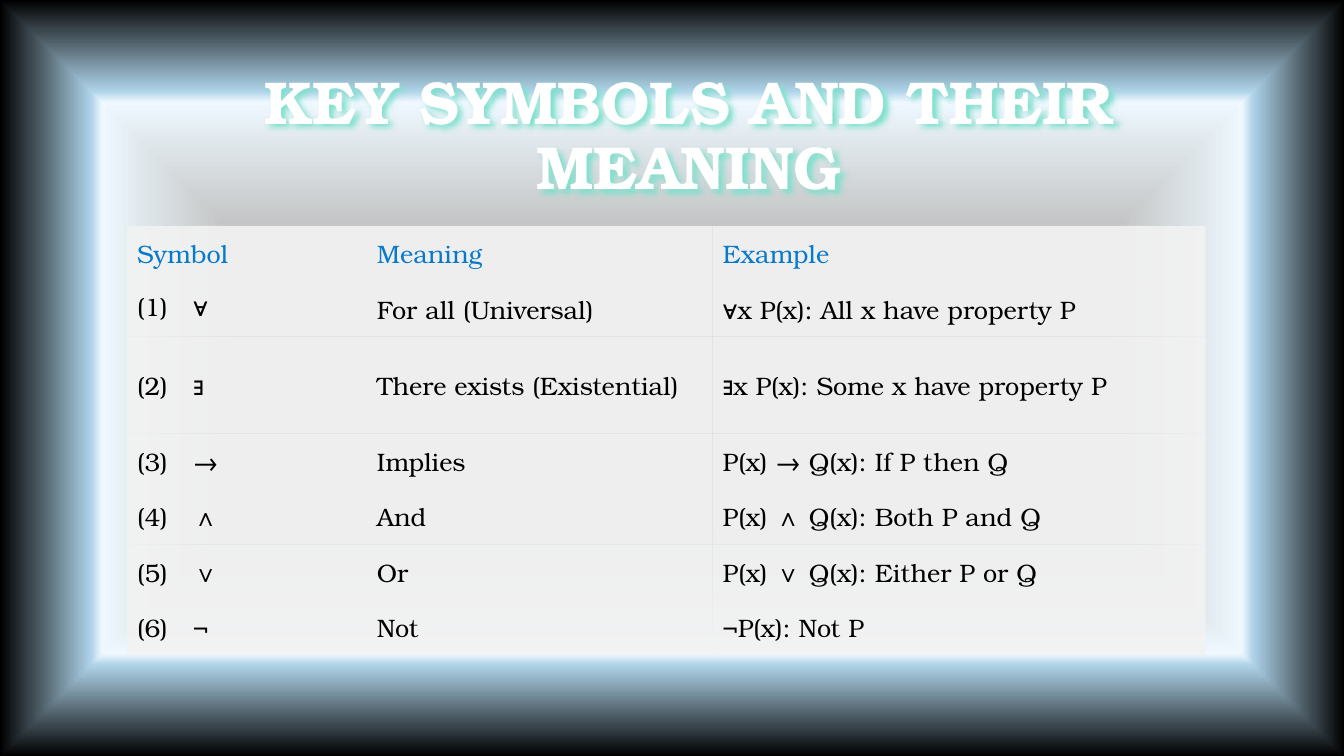
from dataclasses import dataclass

from lxml import etree
from pptx import Presentation
from pptx.dml.color import RGBColor
from pptx.enum.text import MSO_ANCHOR as Anchor, MSO_AUTO_SIZE as AutoSize, PP_ALIGN as Align
from pptx.oxml import parse_xml
from pptx.oxml.ns import nsdecls, qn
from pptx.util import Pt


@dataclass(frozen=True)
class Theme:
    font: str = "TeX Gyre Bonum"
    title_size: float = 43.2
    body_size: float = 18
    title: str = "FFFFFF"
    halo: str = "7FE0CC"
    header: str = "077ACC"
    body: str = "000000"
    cell: str = "F2F2F2"
    cell_alpha: int = 92
    backdrop: tuple = ((37, "BFBFBF"), (73, "EEF8FE"), (76, "AED2E8"),
                       (92, "3A464D"), (100, "000000"))


THEME = Theme()
NO_GRID = "{2D5ABB26-0587-4C30-8999-92F81FD0307C}"
COLUMNS = (171.36, 246.96, 352.08)
ROW, TALL_ROW = 39.6, 69.12
SYMBOL_TAB = 40
HEADER = ("Symbol", "Meaning", "Example")
SYMBOLS = (
    ("∀", "For all (Universal)", "∀x P(x): All x have property P"),
    ("∃", "There exists (Existential)", "∃x P(x): Some x have property P"),
    ("→", "Implies", "P(x) → Q(x): If P then Q"),
    ("∧", "And", "P(x) ∧ Q(x): Both P and Q"),
    ("∨", "Or", "P(x) ∨ Q(x): Either P or Q"),
    ("¬", "Not", "¬P(x): Not P"),
)


def add_run(p, text, size, color, bold=False):
    r = p.add_run()
    r.text = text
    r.font.name = THEME.font
    r.font.size = Pt(size)
    r.font.bold = bold
    r.font.color.rgb = RGBColor.from_string(color)
    return r


def paint_backdrop(slide):
    stops = "".join(
        f'<a:gs pos="{pos * 1000}"><a:srgbClr val="{color}"/></a:gs>'
        for pos, color in THEME.backdrop)
    slide.background.fill.solid()
    bg_pr = slide.element.cSld.find(qn("p:bg")).find(qn("p:bgPr"))
    gradient = parse_xml(
        f'<a:gradFill {nsdecls("a")} rotWithShape="1"><a:gsLst>{stops}</a:gsLst>'
        '<a:path path="shape"><a:fillToRect l="50000" t="50000" r="50000" b="50000"/>'
        '</a:path></a:gradFill>')
    bg_pr.replace(bg_pr.find(qn("a:solidFill")), gradient)


def place_title(slide, text, left, top, width, height):
    sp = slide.shapes.title
    sp.left, sp.top, sp.width, sp.height = Pt(left), Pt(top), Pt(width), Pt(height)
    tf = sp.text_frame
    tf.word_wrap = True
    tf.auto_size = AutoSize.NONE
    tf.vertical_anchor = Anchor.BOTTOM
    p = tf.paragraphs[0]
    p.alignment = Align.CENTER
    p.line_spacing = 0.9
    add_run(p, text, THEME.title_size, THEME.title, bold=True)
    sp.element.spPr.append(parse_xml(
        f'<a:effectLst {nsdecls("a")}>'
        f'<a:outerShdw blurRad="{Pt(4)}" dist="{Pt(3)}" dir="2700000" algn="tl" rotWithShape="0">'
        f'<a:srgbClr val="{THEME.halo}"/></a:outerShdw></a:effectLst>'))


def fill_cell(cell, parts, color):
    cell.vertical_anchor = Anchor.MIDDLE
    cell.fill.solid()
    cell.fill.fore_color.rgb = RGBColor.from_string(THEME.cell)
    rgb = cell.fill._xPr.find(qn("a:solidFill"))[0]
    etree.SubElement(rgb, qn("a:alpha"), val=str(THEME.cell_alpha * 1000))
    p = cell.text_frame.paragraphs[0]
    if len(parts) > 1:
        p._p.get_or_add_pPr().append(parse_xml(
            f'<a:tabLst {nsdecls("a")}><a:tab pos="{Pt(SYMBOL_TAB)}" algn="l"/></a:tabLst>'))
    add_run(p, "\t".join(parts), THEME.body_size, color)


def place_symbol_table(slide, left, top):
    heights = [TALL_ROW if i == 2 else ROW for i in range(len(SYMBOLS) + 1)]
    frame = slide.shapes.add_table(len(heights), len(COLUMNS), Pt(left), Pt(top),
                                   Pt(sum(COLUMNS)), Pt(sum(heights)))
    table = frame.table
    table.first_row = table.horz_banding = False
    table._tbl.tblPr.find(qn("a:tableStyleId")).text = NO_GRID
    for column, width in zip(table.columns, COLUMNS):
        column.width = Pt(width)
    for row, height in zip(table.rows, heights):
        row.height = Pt(height)
    for cell, label in zip(table.rows[0].cells, HEADER):
        fill_cell(cell, (label,), THEME.header)
    for n, (symbol, meaning, example) in enumerate(SYMBOLS, 1):
        contents = ((f"({n})", symbol), (meaning,), (example,))
        for cell, parts in zip(table.rows[n].cells, contents):
            fill_cell(cell, parts, THEME.body)
    table.cell(1, 0).margin_top = Pt(0)


def build_symbols_slide(prs):
    slide = prs.slides.add_slide(prs.slide_layouts[0])
    subtitle = slide.placeholders[1].element
    subtitle.getparent().remove(subtitle)
    paint_backdrop(slide)
    place_title(slide, "KEY SYMBOLS AND THEIR MEANING", 90.72, 44.64, 802.8, 103.68)
    place_symbol_table(slide, 90.72, 161.28)


def main():
    prs = Presentation()
    prs.slide_width, prs.slide_height = Pt(960), Pt(540)
    build_symbols_slide(prs)
    prs.save("out.pptx")


if __name__ == "__main__":
    main()
